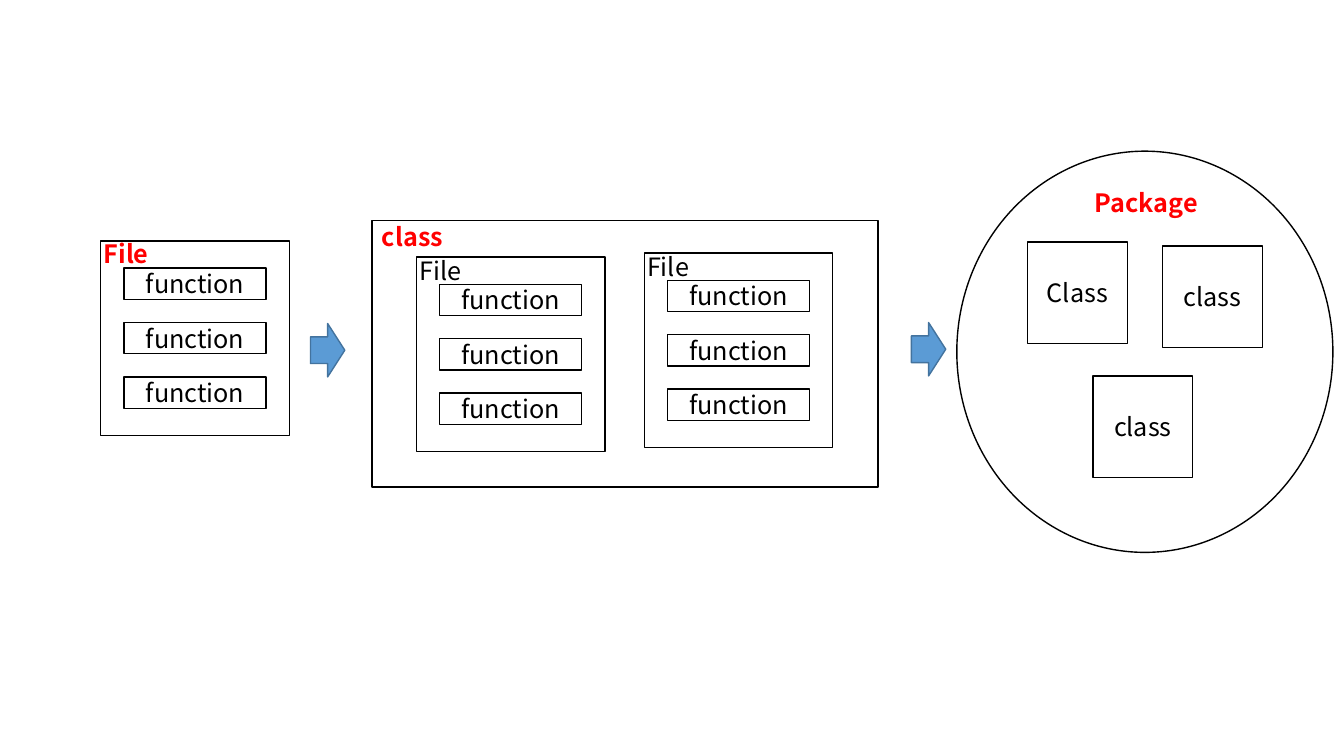
from pptx import Presentation
from pptx.dml.color import RGBColor
from pptx.enum.shapes import MSO_SHAPE
from pptx.enum.text import MSO_ANCHOR, PP_ALIGN
from pptx.util import Pt

RECTANGLE = MSO_SHAPE.RECTANGLE
OVAL = MSO_SHAPE.OVAL
RIGHT_ARROW = MSO_SHAPE.RIGHT_ARROW
MIDDLE = MSO_ANCHOR.MIDDLE
CENTER = PP_ALIGN.CENTER
LEFT = PP_ALIGN.LEFT

PX = 9144
FONT = "Noto Sans CJK KR"
COLORS = {
    "paper": "FFFFFF",
    "ink": "000000",
    "heading": "FF0000",
    "arrow": "5B9BD5",
    "arrow_edge": "43739E",
}


def color(name):
    return RGBColor.from_string(COLORS[name])


def scaled(box):
    return [length * PX for length in box]


def write_text(shape, text, align, ink="ink", bold=False):
    paragraph = shape.text_frame.paragraphs[0]
    paragraph.alignment = align
    run = paragraph.add_run()
    run.text = text
    run.font.color.rgb = color(ink)
    for name, value in {"name": FONT, "size": Pt(18), "bold": bold}.items():
        setattr(run.font, name, value)


def add_outline(slide, kind, box, text="", fill="paper", edge="ink"):
    shape = slide.shapes.add_shape(kind, *scaled(box))
    shape.shadow.inherit = False
    shape.fill.solid()
    shape.fill.fore_color.rgb = color(fill)
    shape.line.color.rgb = color(edge)
    shape.line.width = Pt(1)
    if text:
        shape.text_frame.vertical_anchor = MIDDLE
        write_text(shape, text, CENTER)


def add_label(slide, box, text, heading=True):
    label = slide.shapes.add_textbox(*scaled(box))
    frame_format = {"word_wrap": True, "margin_left": 10 * PX, "margin_right": 0,
                    "margin_top": 5 * PX, "margin_bottom": 5 * PX}
    for name, value in frame_format.items():
        setattr(label.text_frame, name, value)
    write_text(label, text, LEFT, "heading" if heading else "ink", heading)


def add_file(slide, box, heading=False):
    left, top, width, height = box
    add_outline(slide, RECTANGLE, box)
    for row in range(3):
        add_outline(slide, RECTANGLE, (left + 23, top + 27 + 54 * row, 141, 31), "function")
    add_label(slide, (left - 7, top - 7, 84, 40), "File", heading)


def add_class(slide, box):
    left, top, width, height = box
    add_outline(slide, RECTANGLE, box)
    for across, down in ((44, 36), (270, 32)):
        add_file(slide, (left + across, top + down, 187, 193))
    add_label(slide, (left, top - 4, 112, 40), "class")


def add_package(slide, box):
    left, top, width, height = box
    add_outline(slide, OVAL, box)
    for across, down, text in ((70, 90, "Class"), (204, 94, "class"), (135, 223, "class")):
        add_outline(slide, RECTANGLE, (left + across, top + down, 99, 101), text)
    add_label(slide, (left + 127, top + 31, 122, 40), "Package")


def add_arrow(slide, left, top):
    add_outline(slide, RIGHT_ARROW, (left, top, 34, 53), fill="arrow", edge="arrow_edge")


def main():
    presentation = Presentation()
    presentation.slide_width = 1333 * PX
    presentation.slide_height = 750 * PX
    slide = presentation.slides.add_slide(presentation.slide_layouts[6])
    add_file(slide, (100, 239, 187, 193), heading=True)
    add_class(slide, (369, 219, 502, 264))
    add_package(slide, (949, 150, 373, 398))
    add_arrow(slide, 308, 321)
    add_arrow(slide, 904, 320)
    presentation.save("out.pptx")


if __name__ == "__main__":
    main()
